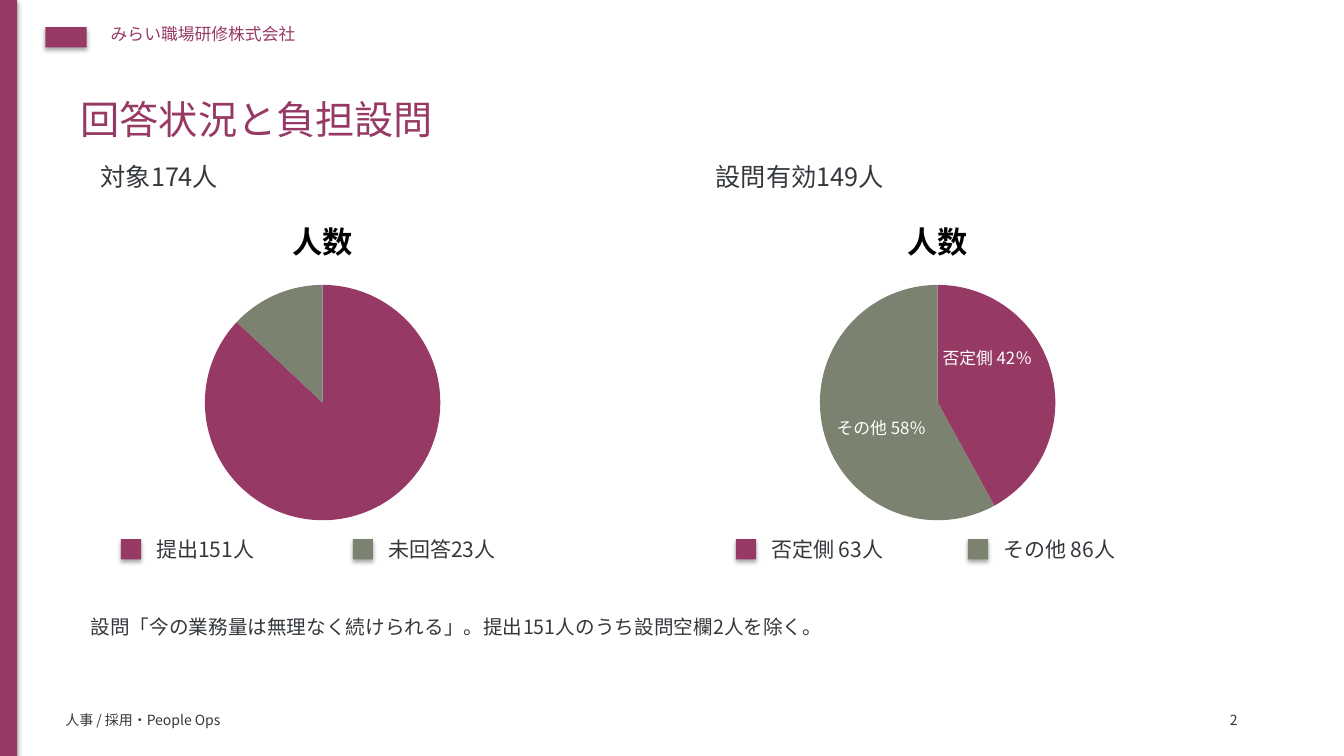
from dataclasses import dataclass

import pptx
import pptx.chart.data
import pptx.dml.color
import pptx.enum.chart
import pptx.enum.shapes
import pptx.enum.text
import pptx.oxml
import pptx.oxml.ns
import pptx.util
from pptx.util import Inches

FONT = "Noto Sans CJK JP"
PLUM, SAGE, INK, WHITE = "963A65", "7B8270", "34383C", "FFFFFF"


@dataclass
class Label:
    text: str
    left: float
    top: float
    width: float
    height: float
    size: float
    color: str = INK
    wrap: bool = True


@dataclass
class Panel:
    left: float
    head: str
    keys: tuple[str, str]
    values: tuple[int, int]


LABELS = [
    Label("みらい職場研修株式会社", 1, 0.19, 8, 0.4, 12, PLUM, wrap=False),
    Label("人事 / 採用・People Ops", 0.55, 7.01, 10, 0.3, 10, wrap=False),
    Label("否定側 42％", 9.25, 3.4, 1.3, 0.4, 12, WHITE),
    Label("その他 58％", 8.2, 4.1, 1.3, 0.4, 12, WHITE),
    Label("設問「今の業務量は無理なく続けられる」。提出151人のうち設問空欄2人を除く。",
          0.8, 6.05, 11.9, 0.65, 14),
    Label("2", 12.1, 7.01, 0.5, 0.25, 10),
]
PANELS = [
    Panel(0.9, "対象174人", ("提出151人", "未回答23人"), (87, 13)),
    Panel(7, "設問有効149人", ("否定側 63人", "その他 86人"), (42, 58)),
]


def paint(fill, color: str) -> None:
    fill.solid()
    fill.fore_color.rgb = pptx.dml.color.RGBColor.from_string(color)


def set_text(frame, text: str, size: float, color: str) -> None:
    """Write one left-aligned line, in FONT for Latin and Japanese alike."""
    frame.text = text
    line = frame.paragraphs[0]
    line.alignment = pptx.enum.text.PP_ALIGN.LEFT
    line.font.size = pptx.util.Pt(size)
    line.font.name = FONT
    line.font.color.rgb = pptx.dml.color.RGBColor.from_string(color)
    for run in line.runs:
        run.font.name = FONT
        east = pptx.oxml.parse_xml(
            f'<a:ea {pptx.oxml.ns.nsdecls("a")} typeface="{FONT}"/>')
        run.font._element.append(east)


def add_label(slide, label: Label) -> None:
    box = slide.shapes.add_textbox(Inches(label.left), Inches(label.top),
                                   Inches(label.width), Inches(label.height))
    frame = box.text_frame
    frame.word_wrap = label.wrap
    frame.auto_size = pptx.enum.text.MSO_AUTO_SIZE.SHAPE_TO_FIT_TEXT
    set_text(frame, label.text, label.size, label.color)


def add_block(slide, left: float, top: float, width: float, height: float,
              color: str) -> None:
    """Add a borderless rectangle that keeps the theme shadow."""
    block = slide.shapes.add_shape(
        pptx.enum.shapes.MSO_SHAPE.RECTANGLE,
        Inches(left), Inches(top), Inches(width), Inches(height))
    paint(block.fill, color)
    block.line.fill.background()


def add_pie(slide, left: float, values: tuple[int, int]) -> None:
    data = pptx.chart.data.CategoryChartData()
    data.categories = ["1", "2"]
    data.add_series("人数", values)
    chart = slide.shapes.add_chart(
        pptx.enum.chart.XL_CHART_TYPE.PIE, Inches(left), Inches(1.95),
        Inches(3.5), Inches(3.35), data).chart
    chart.has_legend = False
    chart.font.size = pptx.util.Pt(18)
    chart.font.name = FONT
    chart.font.color.rgb = pptx.dml.color.RGBColor.from_string("000000")
    plot = chart.plots[0]
    plot.vary_by_categories = True
    for index, color in enumerate((PLUM, SAGE)):
        paint(plot.series[0].points[index].format.fill, color)


def add_panel(slide, panel: Panel) -> None:
    left = panel.left
    add_label(slide, Label(panel.head, left, 1.55, 4.8, 0.35, 18))
    add_pie(slide, left + 0.55, panel.values)
    for index, (key, color) in enumerate(zip(panel.keys, (PLUM, SAGE))):
        x = left + 0.3 + 2.3 * index
        add_block(slide, x, 5.35, 0.2, 0.2, color)
        add_label(slide, Label(key, x + 0.25, 5.27, 2.25, 0.4, 15))


def main() -> None:
    deck = pptx.Presentation()
    deck.slide_width, deck.slide_height = Inches(13.33), Inches(7.5)
    slide = deck.slides.add_slide(deck.slide_layouts[5])
    paint(slide.background.fill, WHITE)

    title = slide.shapes.title
    title.left, title.top = Inches(0.7), Inches(0.9)
    title.width, title.height = Inches(11.8), Inches(0.85)
    title.text_frame.vertical_anchor = pptx.enum.text.MSO_ANCHOR.TOP
    set_text(title.text_frame, "回答状況と負担設問", 28, PLUM)

    add_block(slide, 0, 0, 0.17, 7.5, PLUM)
    add_block(slide, 0.45, 0.27, 0.41, 0.2, PLUM)
    for panel in PANELS:
        add_panel(slide, panel)
    for label in LABELS:
        add_label(slide, label)
    deck.save("out.pptx")


if __name__ == "__main__":
    main()
